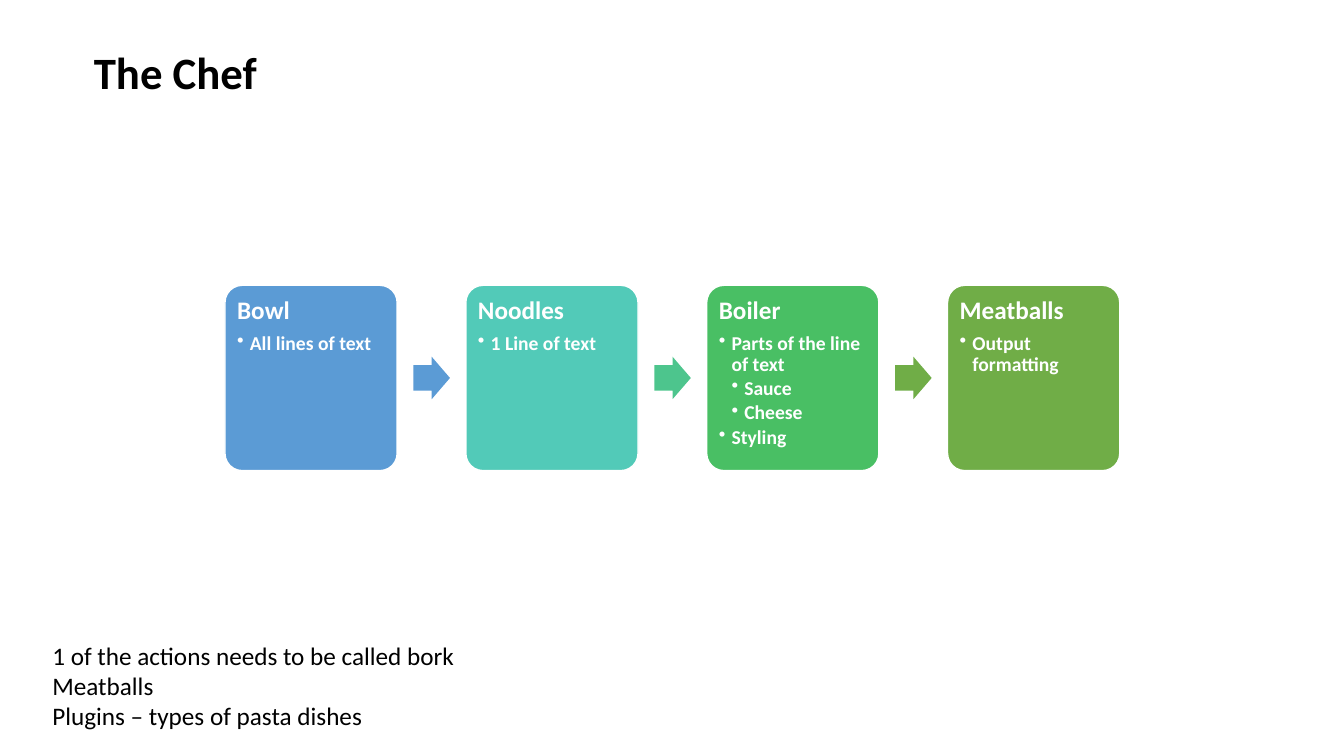
"""Build the slide that shows the chef's four-step pasta process."""
from lxml.etree import SubElement
from pptx import Presentation
from pptx.dml.color import RGBColor
from pptx.enum.shapes import MSO_SHAPE
from pptx.enum.text import MSO_ANCHOR, PP_ALIGN
from pptx.oxml.ns import qn
from pptx.util import Cm, Pt

BLACK = RGBColor(0x00, 0x00, 0x00)
WHITE = RGBColor(0xFF, 0xFF, 0xFF)
BLUE = RGBColor(0x5B, 0x9B, 0xD5)
TEAL = RGBColor(0x52, 0xCA, 0xB8)
SEA_GREEN = RGBColor(0x4D, 0xC5, 0x8D)
GREEN = RGBColor(0x49, 0xBF, 0x64)
OLIVE = RGBColor(0x70, 0xAD, 0x47)

STEPS = [
    ("Bowl", BLUE, [(1, "All lines of text")]),
    ("Noodles", TEAL, [(1, "1 Line of text")]),
    ("Boiler", GREEN, [(1, "Parts of the line of text"), (2, "Sauce"),
                       (2, "Cheese"), (1, "Styling")]),
    ("Meatballs", OLIVE, [(1, "Output formatting")]),
]
ARROW_COLORS = [BLUE, SEA_GREEN, OLIVE]
REMARKS = ["1 of the actions needs to be called bork", "Meatballs",
           "Plugins – types of pasta dishes"]

FIRST_LEFT, STEP_PITCH = Cm(5.67), Cm(6.07)
BULLET_INDENT = Cm(0.32)


def write(frame, text, size=18, color=BLACK, bold=False, level=0,
          line_spacing=1.0, space_after=0):
    """Add one formatted paragraph, bulleted when its level is above zero."""
    paragraph = frame.paragraphs[0]
    if paragraph.runs:
        paragraph = frame.add_paragraph()
    paragraph.alignment = PP_ALIGN.LEFT
    paragraph.level = level
    paragraph.line_spacing = line_spacing
    paragraph.space_before = Pt(0)
    paragraph.space_after = Pt(space_after)
    run = paragraph.add_run()
    run.text = text
    run.font.name = "Calibri"
    run.font.size = Pt(size)
    run.font.bold = bold
    run.font.color.rgb = color
    if level:
        properties = paragraph._p.get_or_add_pPr()
        properties.set("marL", str(BULLET_INDENT * level))
        properties.set("indent", str(-BULLET_INDENT))
        SubElement(properties, qn("a:buChar")).set("char", "•")


def add_block(slide, preset, box, color, adjustments):
    """Add a flat filled preset shape."""
    block = slide.shapes.add_shape(preset, *box)
    block.shadow.inherit = False
    block.fill.solid()
    block.fill.fore_color.rgb = color
    block.line.fill.background()
    for index, value in enumerate(adjustments):
        block.adjustments[index] = value
    return block


def add_step(slide, left, heading, color, details):
    """Add a rounded card with a heading and its bulleted details."""
    card = add_block(slide, MSO_SHAPE.ROUNDED_RECTANGLE,
                     (left, Cm(7.19), Cm(4.34), Cm(4.67)), color, [0.1])
    card.line.color.rgb = WHITE
    card.line.width = Pt(1)
    frame = card.text_frame
    frame.word_wrap = True
    frame.vertical_anchor = MSO_ANCHOR.TOP
    frame.margin_left = frame.margin_right = Cm(0.18)
    frame.margin_top = frame.margin_bottom = Cm(0.18)
    write(frame, heading, color=WHITE, bold=True, line_spacing=0.9,
          space_after=6.3)
    for level, detail in details:
        write(frame, detail, size=14, color=WHITE, bold=True, level=level,
              line_spacing=0.9, space_after=2.1)


def add_arrow(slide, left, color):
    """Add a block arrow that leads to the next card."""
    add_block(slide, MSO_SHAPE.RIGHT_ARROW,
              (left, Cm(8.99), Cm(0.92), Cm(1.07)), color, [0.6, 0.5])


def add_title(slide, text):
    """Place and fill the title placeholder."""
    title = slide.shapes.title
    title.left, title.top = Cm(2.11), Cm(0.99)
    title.width, title.height = Cm(29.36), Cm(1.63)
    title.text_frame.vertical_anchor = MSO_ANCHOR.TOP
    write(title.text_frame, text, size=32, bold=True)


def add_remarks(slide, remarks):
    """Add the remarks at the lower left."""
    box = slide.shapes.add_textbox(Cm(1.07), Cm(16), Cm(14.55), Cm(2.57))
    box.text_frame.word_wrap = True
    for remark in remarks:
        write(box.text_frame, remark)


def main():
    """Build and save the presentation."""
    presentation = Presentation()
    presentation.slide_width, presentation.slide_height = Cm(33.87), Cm(19.05)
    slide = presentation.slides.add_slide(presentation.slide_layouts[5])
    add_title(slide, "The Chef")
    for index, (heading, color, details) in enumerate(STEPS):
        add_step(slide, FIRST_LEFT + index * STEP_PITCH, heading, color, details)
    for index, color in enumerate(ARROW_COLORS):
        add_arrow(slide, FIRST_LEFT + index * STEP_PITCH + Cm(4.75), color)
    add_remarks(slide, REMARKS)
    presentation.save("out.pptx")


if __name__ == "__main__":
    main()
